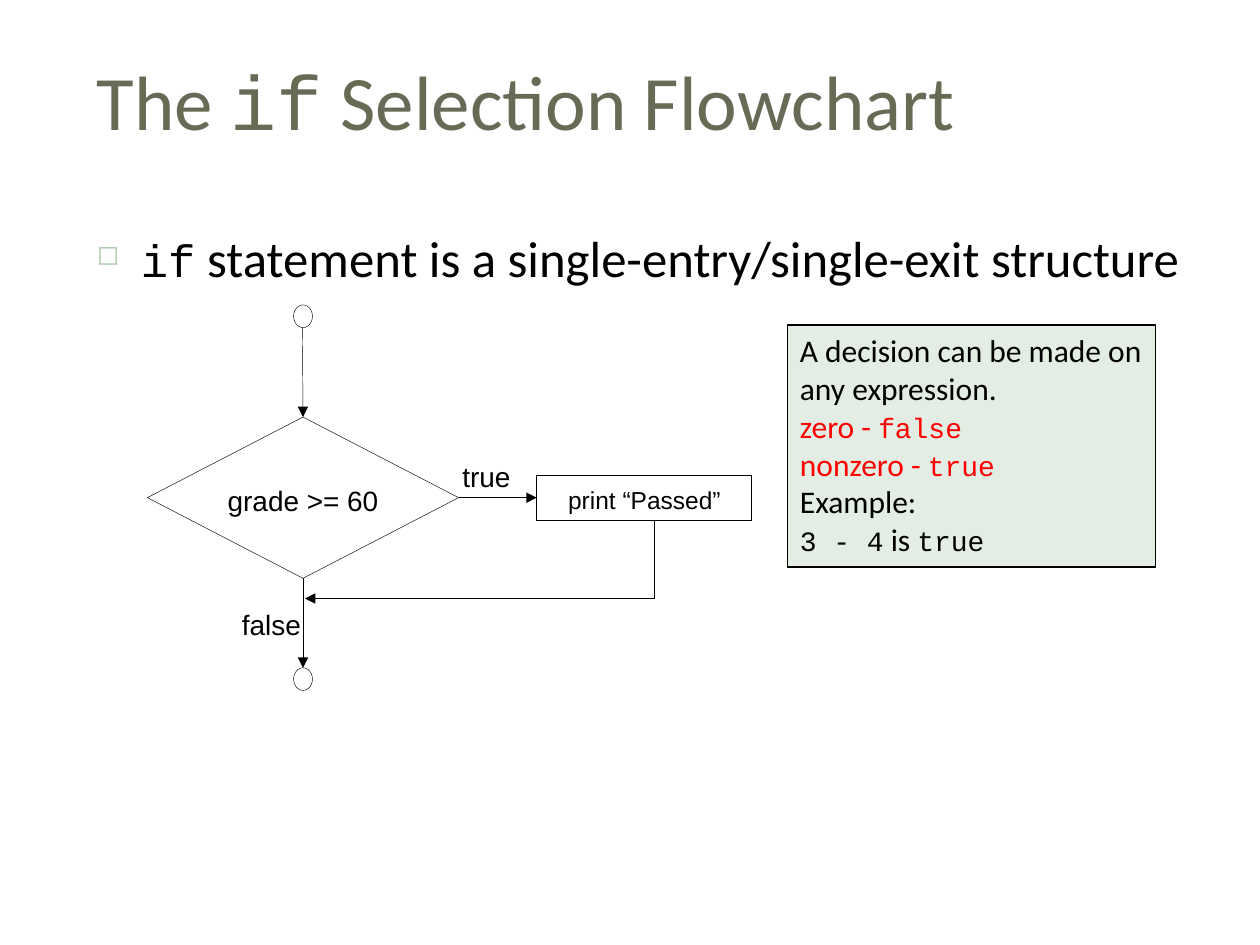
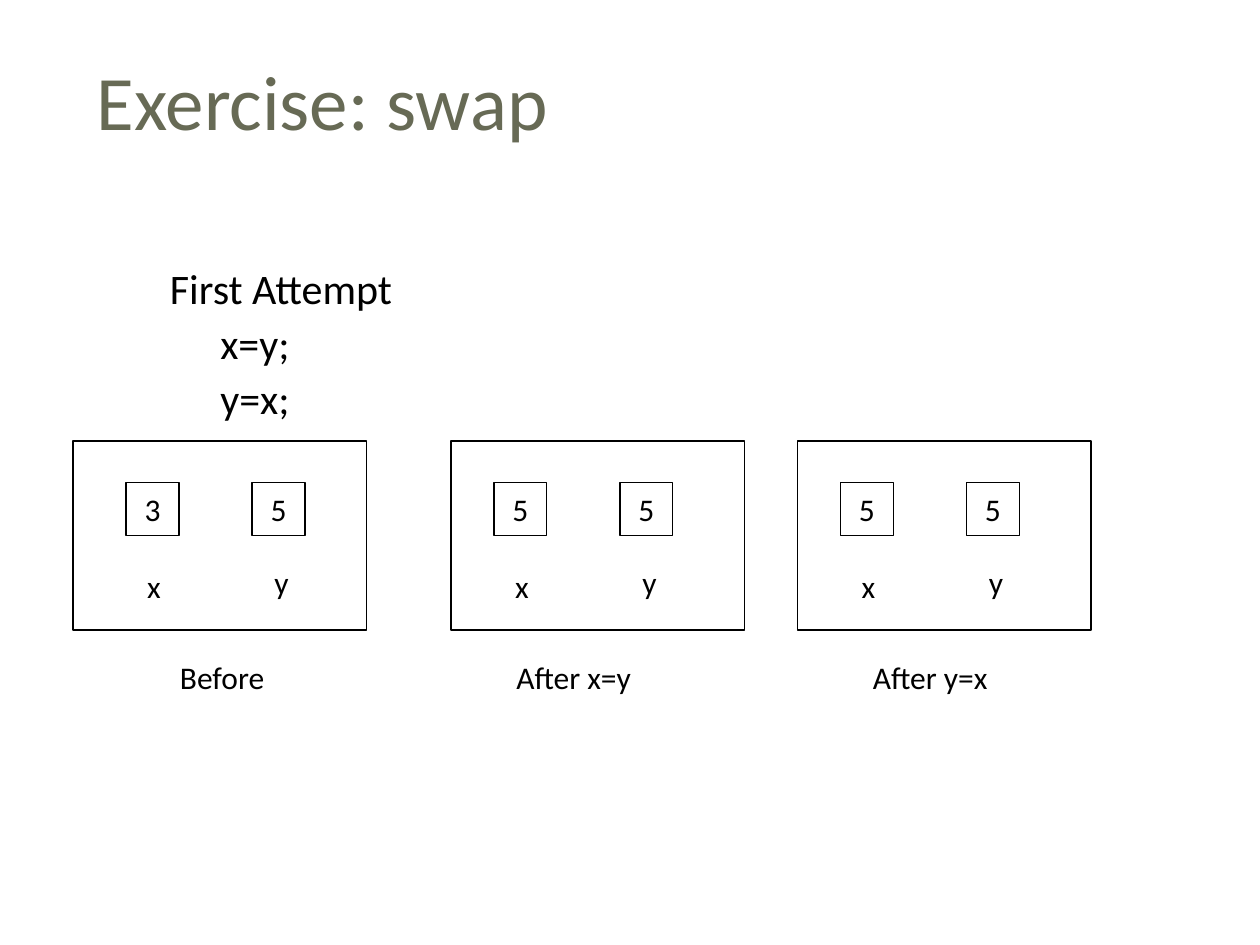
from dataclasses import dataclass
from lxml.etree import SubElement
from pptx import Presentation
from pptx.dml.color import RGBColor
from pptx.enum.shapes import MSO_CONNECTOR, MSO_SHAPE
from pptx.enum.text import MSO_ANCHOR, MSO_AUTO_SIZE, PP_ALIGN
from pptx.oxml.ns import qn
from pptx.util import Pt

SCALE = 9144


@dataclass(frozen=True)
class Theme:
    black: str = "000000"
    white: str = "FFFFFF"
    red: str = "FF0000"
    mint: str = "E3EDE4"
    sage: str = "B0CCB0"
    olive: str = "676A55"
    sans: str = "Calibri"
    mono: str = "Courier New"
    plain: str = "Arial"
    thin: float = 0.25
    line: float = 0.75

    def style(self, name):
        return {
            "title": (self.sans, 44, self.olive),
            "keyword": (self.mono, 44, self.olive),
            "lead": (self.sans, 29, self.black),
            "leadcode": (self.mono, 26, self.black),
            "body": (self.sans, 24, self.black),
            "note": (self.sans, 18, self.black),
            "code": (self.mono, 16, self.black),
            "rednote": (self.sans, 18, self.red),
            "redcode": (self.mono, 16, self.red),
            "flow": (self.plain, 16, self.black),
            "step": (self.plain, 14, self.black),
        }[name]


def emu(*sizes):
    return [size * SCALE for size in sizes]


class Deck:
    def __init__(self, theme):
        self.theme = theme
        self.deck = Presentation()
        self.deck.slide_width, self.deck.slide_height = emu(1000, 750)
        self.slide = None

    def page(self, *runs):
        self.slide = self.deck.slides.add_slide(self.deck.slide_layouts[6])
        self.text((67, 25, 892, 108), [runs], anchor=MSO_ANCHOR.MIDDLE)

    def words(self, frame, lines, align=PP_ALIGN.LEFT, anchor=MSO_ANCHOR.TOP,
              wrap=True, grow=False, inset=True):
        frame.word_wrap = wrap
        frame.vertical_anchor = anchor
        frame.auto_size = MSO_AUTO_SIZE.SHAPE_TO_FIT_TEXT if grow else MSO_AUTO_SIZE.NONE
        if not inset:
            frame.margin_left = frame.margin_right = 0
            frame.margin_top = frame.margin_bottom = 0
        for num, runs in enumerate(lines):
            para = frame.add_paragraph() if num else frame.paragraphs[0]
            para.alignment = align
            for words, name in runs:
                run = para.add_run()
                run.text = words
                face, size, color = self.theme.style(name)
                run.font.name = face
                run.font.size = Pt(size)
                run.font.color.rgb = RGBColor.from_string(color)
        return frame.paragraphs

    def text(self, box, lines, **opts):
        shape = self.slide.shapes.add_textbox(*emu(*box))
        return self.words(shape.text_frame, lines, **opts)

    def shape(self, kind, box, lines=(), fill=None, width=None, **opts):
        shape = self.slide.shapes.add_shape(kind, *emu(*box))
        shape.shadow.inherit = False
        if fill:
            shape.fill.solid()
            shape.fill.fore_color.rgb = RGBColor.from_string(fill)
        else:
            shape.fill.background()
        shape.line.color.rgb = RGBColor.from_string(self.theme.black)
        shape.line.width = Pt(width or self.theme.line)
        if lines:
            self.words(shape.text_frame, lines, **opts)
        return shape

    def link(self, start, end, head=True, source=None, target=None):
        line = self.slide.shapes.add_connector(
            MSO_CONNECTOR.STRAIGHT, *emu(*start), *emu(*end))
        if source:
            line.begin_connect(*source)
        if target:
            line.end_connect(*target)
        line.line.color.rgb = RGBColor.from_string(self.theme.black)
        line.line.width = Pt(self.theme.thin)
        props = line._element.spPr
        if head:
            SubElement(props.find(qn("a:ln")), qn("a:tailEnd"), type="triangle")
        SubElement(props, qn("a:effectLst"))

    def indent(self, para, left, hang, before, spacing=None):
        para.space_before = Pt(before)
        if spacing:
            para.line_spacing = spacing
        props = para._p.get_or_add_pPr()
        props.set("marL", str(left * SCALE))
        props.set("indent", str(-hang * SCALE))

    def bullet(self, para, mark):
        props = para._p.get_or_add_pPr()
        color = SubElement(props, qn("a:buClr"))
        SubElement(color, qn("a:srgbClr"), val=self.theme.sage)
        SubElement(props, qn("a:buSzPct"), val="60000")
        SubElement(props, qn("a:buChar"), char=mark)


def flow(deck):
    theme = deck.theme
    deck.page(("The ", "title"), ("if", "keyword"), (" Selection Flowchart", "title"))
    lead = deck.text((67, 175, 892, 492), [[
        ("if", "leadcode"),
        (" statement is a single-entry/single-exit structure", "lead")]])[0]
    deck.indent(lead, 35, 35, 7)
    deck.bullet(lead, "◻")

    start, leave = [
        deck.shape(MSO_SHAPE.OVAL, (233, top, 15, 18), width=theme.thin)
        for top in (242, 530)]
    test = deck.shape(MSO_SHAPE.DIAMOND, (117, 331, 247, 128),
                      fill=theme.white, width=theme.thin)
    step = deck.shape(MSO_SHAPE.RECTANGLE, (426, 377, 170, 36), width=theme.thin)
    deck.link((240, 260), (240, 331), target=(test, 0))
    deck.link((240, 459), (240, 530), source=(test, 2), target=(leave, 0))
    deck.link((364, 395), (426, 395), source=(test, 3), target=(step, 1))
    deck.link((519, 413), (519, 475), head=False)
    deck.link((520, 475), (242, 475))

    for box, words, name, align in (
        ((367, 365, 55, 36), "true", "flow", PP_ALIGN.LEFT),
        ((192, 482, 67, 36), "false", "flow", PP_ALIGN.LEFT),
        ((171, 384, 139, 27), "grade >= 60", "flow", PP_ALIGN.CENTER),
        ((437, 385, 149, 25), "print “Passed”", "step", PP_ALIGN.CENTER),
    ):
        deck.text(box, [[(words, name)]], align=align, inset=False)

    deck.shape(MSO_SHAPE.RECTANGLE, (625, 258, 292, 192), [
        [("A decision can be made on any expression.", "note")],
        [("zero - ", "rednote"), ("false", "redcode"), (" ", "rednote")],
        [("nonzero - ", "rednote"), ("true", "redcode")],
        [("Example:", "note")],
        [("3 - 4", "code"), (" is ", "note"), ("true", "code")],
    ], fill=theme.mint, grow=True)


def swap(deck):
    deck.page(("Exercise: swap", "title"))
    first, *steps = deck.text((125, 208, 875, 142), [
        [(words, "body")] for words in ("First Attempt", "x=y;", "y=x;")])
    deck.indent(first, 35, 35, 7, 0.9)
    for step in steps:
        deck.indent(step, 70, 30, 5.5, 0.9)

    for frame, cell, tag, title, wide, values in (
        (58, 100, 133, "Before", 92, "35"),
        (358, 392, 400, "After x=y", 124, "55"),
        (633, 667, 683, "After y=x", 124, "55"),
    ):
        deck.shape(MSO_SHAPE.RECTANGLE, (frame, 350, 233, 150))
        for num, value in enumerate(values):
            left = cell + 100 * num
            deck.shape(MSO_SHAPE.RECTANGLE, (left, 383, 42, 42), [[(value, "note")]],
                       align=PP_ALIGN.CENTER, anchor=MSO_ANCHOR.MIDDLE, wrap=False)
            deck.text((left + 7 + num, 445 - 3 * num, 32 + num, 40),
                      [[("xy"[num], "note")]], wrap=False, grow=True)
        deck.text((tag, 517, wide, 40), [[(title, "note")]], wrap=False, grow=True)


def main():
    show = Deck(Theme())
    flow(show)
    swap(show)
    show.deck.save("out.pptx")


if __name__ == "__main__":
    main()
